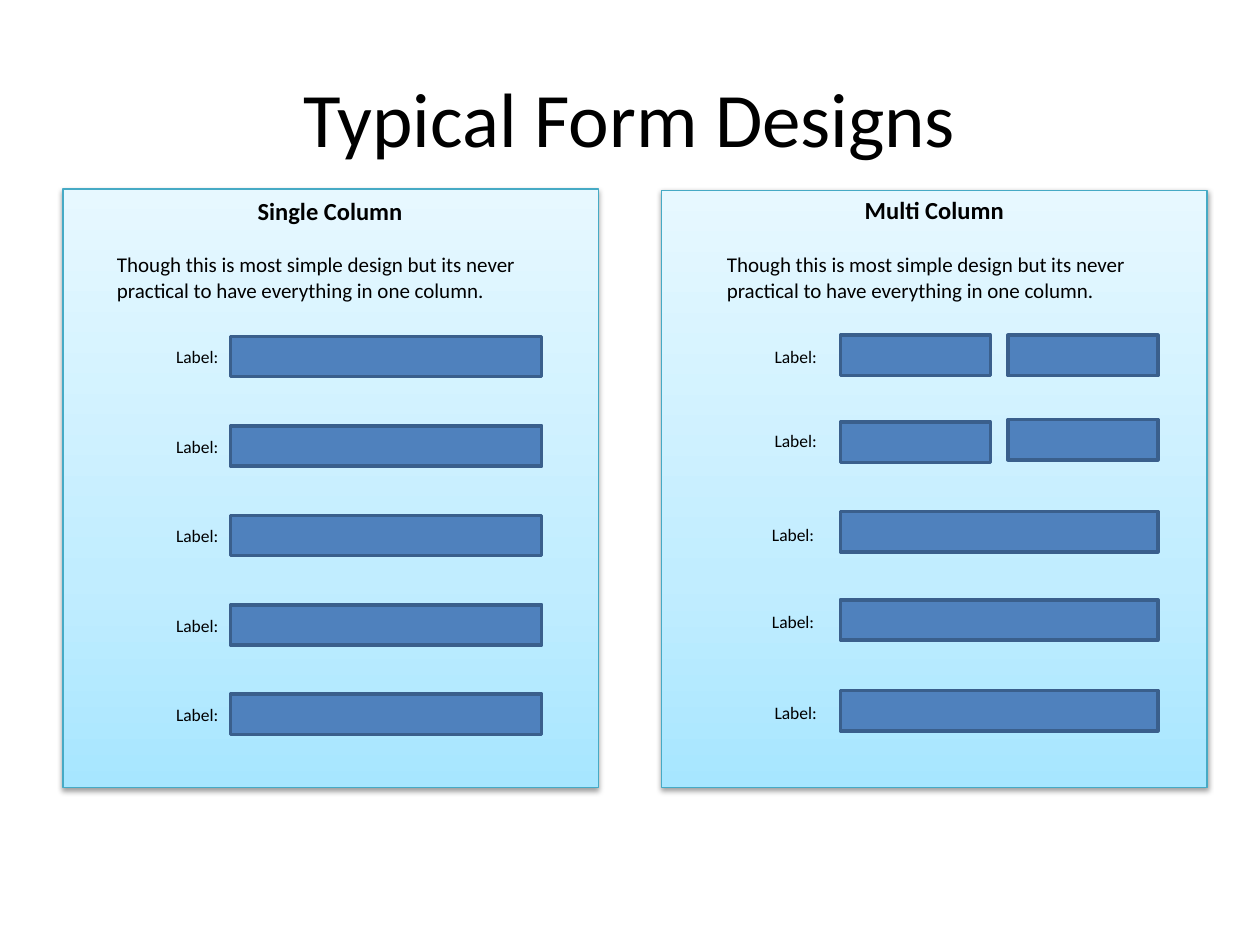
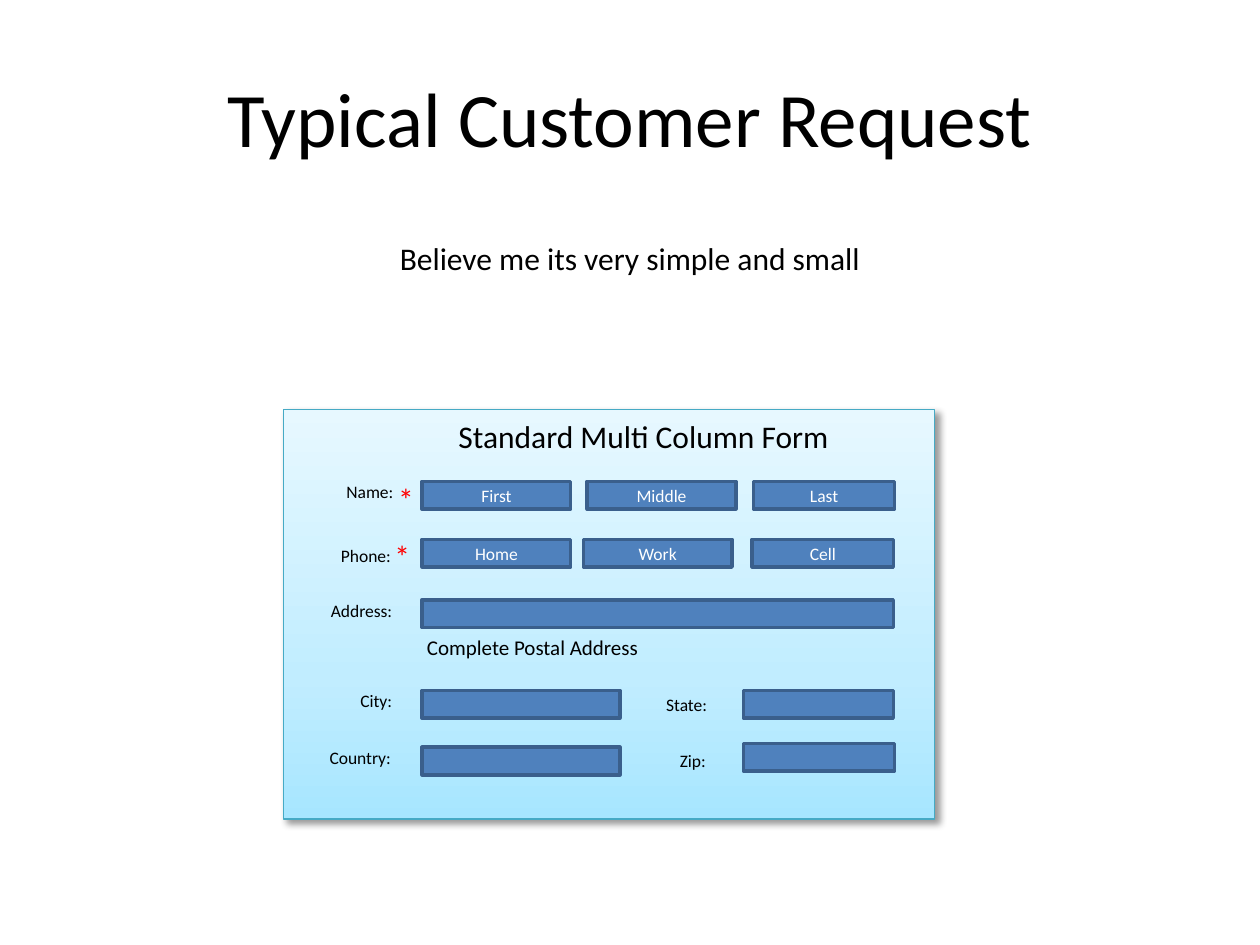
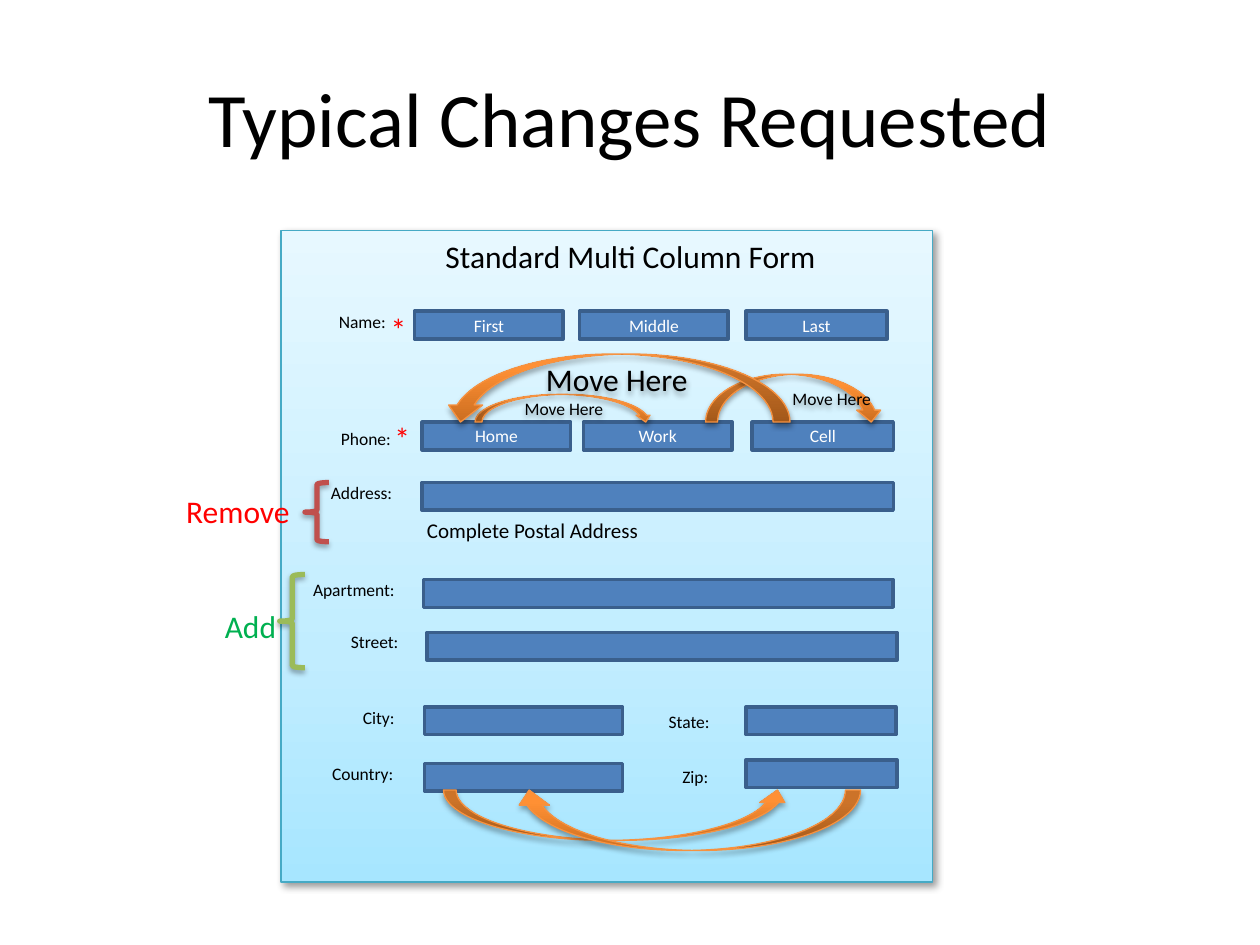
import pptx
import pptx.util
import pptx.dml.color
import pptx.enum.shapes
import pptx.enum.text
import pptx.oxml
import pptx.oxml.ns
from pptx.util import Inches

SHAPE = pptx.enum.shapes.MSO_SHAPE
ALIGN = pptx.enum.text.PP_ALIGN
ANCHOR = pptx.enum.text.MSO_ANCHOR
FIT = pptx.enum.text.MSO_AUTO_SIZE

FONT = "Calibri"
BLACK, WHITE, RED, GREEN = "000000", "FFFFFF", "FF0000", "00B050"
FIELD, EDGE, TEAL, ORANGE = "4F81BD", "3A5F8C", "46AAC5", "F69240"
SKY = [(0, "A7E6FF"), (35, "C1EDFF"), (100, "E7F8FF")]
FLAME = [(0, "CC6E20"), (80, "FF9034"), (100, "FF9136")]
# Shadows: opacity %, blur pt, distance pt, direction in degrees
SOFT = (38, 3.1, 1.6, 90)
DEEP = (40, 4, 3, 45)
LOW = (35, 3.1, 1.8, 90)


def rgb(color):
    return pptx.dml.color.RGBColor.from_string(color)


def node(parent, tag, **attrs):
    child = parent.makeelement(pptx.oxml.ns.qn(tag), {})
    for key, value in attrs.items():
        child.set(key, str(value))
    parent.append(child)
    return child


def blend(shape, stops):
    """Fill a shape with a gradient that runs from bottom to top."""
    shape.fill.gradient()
    shape.fill.gradient_angle = 90
    bag = shape.element.spPr.find(".//" + pptx.oxml.ns.qn("a:gsLst"))
    for stop in list(bag):
        bag.remove(stop)
    for place, color in stops:
        node(node(bag, "a:gs", pos=place * 1000), "a:srgbClr", val=color)


def shade(shape, alpha, blur, dist, angle):
    bag = shape.element.spPr.find(pptx.oxml.ns.qn("a:effectLst"))
    cast = node(bag, "a:outerShdw", blurRad=int(blur * 12700),
                dist=int(dist * 12700), dir=angle * 60000,
                algn="ctr", rotWithShape=0)
    node(node(cast, "a:srgbClr", val=BLACK), "a:alpha", val=alpha * 1000)


class Deck:
    def __init__(self):
        self.show = pptx.Presentation()
        self.show.slide_width = Inches(10)
        self.show.slide_height = Inches(7.5)
        self.slide = None

    def page(self, title):
        self.slide = self.show.slides.add_slide(self.show.slide_layouts[6])
        self.text((0.5, 0.3, 9, 1.25), title, 44, align=ALIGN.CENTER,
                  anchor=ANCHOR.MIDDLE, grow=False)

    def letter(self, frame, text, size, color=BLACK, align=ALIGN.LEFT,
               anchor=ANCHOR.TOP, bold=False):
        """Put one styled line of text into a frame."""
        frame.text = text
        frame.vertical_anchor = anchor
        line = frame.paragraphs[0]
        line.alignment = align
        font = line.runs[0].font
        font.name, font.size, font.bold = FONT, pptx.util.Pt(size), bold
        font.color.rgb = rgb(color)

    def text(self, box, text, size, wrap=True, grow=True, **style):
        frame = self.slide.shapes.add_textbox(*map(Inches, box)).text_frame
        self.letter(frame, text, size, **style)
        frame.word_wrap = wrap
        if grow:
            frame.auto_size = FIT.SHAPE_TO_FIT_TEXT

    def shape(self, kind, box, fill, line, width, shadow=None):
        """Draw a preset shape; fill is a colour, a list of stops or None."""
        shape = self.slide.shapes.add_shape(kind, *map(Inches, box))
        shape.shadow.inherit = False
        if fill is None:
            shape.fill.background()
        elif isinstance(fill, list):
            blend(shape, fill)
        else:
            shape.fill.solid()
            shape.fill.fore_color.rgb = rgb(fill)
        shape.line.color.rgb = rgb(line)
        shape.line.width = pptx.util.Pt(width)
        if shadow:
            shade(shape, *shadow)
        return shape

    def panel(self, box, shadow):
        self.shape(SHAPE.RECTANGLE, box, SKY, TEAL, 0.75, shadow)

    def field(self, x, y, width, text="", height=0.22):
        shape = self.shape(SHAPE.RECTANGLE, (x, y, width, height),
                           FIELD, EDGE, 2)
        if text:
            self.letter(shape.text_frame, text, 10, WHITE, ALIGN.CENTER,
                        ANCHOR.MIDDLE)

    def label(self, right, y, text, width=0.7):
        self.text((right - width, y, width, 0.27), text, 10,
                  align=ALIGN.RIGHT)

    def star(self, x, y):
        self.text((x, y, 0.09, 0.4), "*", 18, color=RED)

    def brace(self, box, color):
        self.shape(SHAPE.LEFT_BRACE, box, None, color, 3, LOW)

    def arrow(self, kind, box, flip=False, size=0, **style):
        shape = self.shape(kind, box, FLAME, ORANGE, 0.75, LOW)
        if flip:
            frame = shape.element.spPr.find(pptx.oxml.ns.qn("a:xfrm"))
            frame.set("flipH", "1")
        if size:
            self.letter(shape.text_frame, "Move Here", size, **style)

    # Groups of form fields, placed by the left top of their first field

    def name(self, x, y):
        self.label(x - 0.13, y - 0.05, "Name:")
        self.star(x - 0.19, y - 0.06)
        for step, width, text in ((0, 1.18, "First"), (1.31, 1.18, "Middle"),
                                  (2.63, 1.12, "Last")):
            self.field(x + step, y, width, text)

    def phone(self, x, y):
        self.label(x - 0.15, y, "Phone:")
        self.star(x - 0.22, y - 0.07)
        for step, width, text in ((0, 1.18, "Home"), (1.28, 1.18, "Work"),
                                  (2.62, 1.12, "Cell")):
            self.field(x + step, y, width, text)

    def address(self, x, y):
        self.label(x - 0.14, y - 0.05, "Address:", 0.79)
        self.field(x, y, 3.74)
        self.text((x - 0.06, y + 0.23, 3.74, 0.3),
                  "Complete Postal Address", 12)

    def region(self, x, y):
        self.label(x - 0.14, y - 0.05, "City:")
        self.label(x - 0.15, y + 0.4, "Country:")
        self.label(x + 2.36, y - 0.02, "State:")
        self.label(x + 2.35, y + 0.42, "Zip:")
        for step, drop, width in ((0, 0, 1.57), (0, 0.45, 1.57),
                                  (2.55, 0, 1.19), (2.55, 0.42, 1.2)):
            self.field(x + step, y + drop, width)


deck = Deck()

deck.page("Typical Form Designs")
BLURB = ("Though this is most simple design but its never "
         "practical to have everything in one column.")
deck.panel((0.5, 1.5, 4.25, 4.75), SOFT)
deck.panel((5.25, 1.51, 4.33, 4.74), SOFT)
deck.text((1.94, 1.51, 1.36, 0.34), "Single Column", 14, wrap=False,
          align=ALIGN.CENTER, bold=True)
deck.text((6.52, 1.5, 1.79, 0.34), "Multi Column", 14,
          align=ALIGN.CENTER, bold=True)
for left in (0.83, 5.67):
    deck.text((left, 1.95, 3.58, 0.5), BLURB, 12)
for row in range(5):
    top = 2.67 + 0.71 * row
    deck.label(1.83, top + 0.03, "Label:", 1.14)
    deck.field(1.83, top, 2.47, height=0.32)
# Right edge and top of each label, then left, top and width of its fields
rows = [(6.58, 2.7, [(6.67, 2.66, 1.19), (8, 2.66, 1.19)]),
        (6.58, 3.36, [(6.67, 3.35, 1.19), (8, 3.33, 1.19)]),
        (6.56, 4.11, [(6.67, 4.06, 2.52)]),
        (6.56, 4.8, [(6.67, 4.76, 2.52)]),
        (6.58, 5.52, [(6.67, 5.48, 2.52)])]
for right, top, fields in rows:
    deck.label(right, top, "Label:", 1.16)
    for field in fields:
        deck.field(*field, height=0.32)

FORM = "Standard Multi Column Form"
deck.page("Typical Customer Request")
deck.text((3.05, 1.85, 3.9, 0.4), "Believe me its very simple and small", 18,
          wrap=False, align=ALIGN.CENTER)
deck.panel((2.25, 3.25, 5.17, 3.25), DEEP)
deck.text((3.54, 3.26, 3.17, 0.4), FORM, 18)
deck.name(3.35, 3.82)
deck.phone(3.35, 4.28)
deck.address(3.35, 4.76)
deck.region(3.35, 5.48)

deck.page("Typical Changes Requested")
deck.panel((2.23, 1.83, 5.17, 5.17), DEEP)
deck.text((3.42, 1.83, 3.17, 0.4), FORM, 18, align=ALIGN.CENTER)
deck.name(3.29, 2.47)
deck.phone(3.35, 3.35)
deck.address(3.35, 3.83)
deck.region(3.37, 5.61)
deck.label(3.23, 4.55, "Apartment:", 0.94)
deck.field(3.36, 4.6, 3.73)
deck.label(3.26, 4.96, "Street:", 0.94)
deck.field(3.39, 5.02, 3.73)

DOWN, UP = SHAPE.CURVED_DOWN_ARROW, SHAPE.CURVED_UP_ARROW
deck.arrow(DOWN, (3.77, 3.13, 1.41, 0.22), size=10, align=ALIGN.CENTER,
           anchor=ANCHOR.MIDDLE)
deck.arrow(DOWN, (5.6, 2.97, 1.41, 0.38), size=10, align=ALIGN.RIGHT,
           anchor=ANCHOR.MIDDLE)
deck.arrow(DOWN, (3.52, 2.81, 2.75, 0.54), flip=True, size=18,
           align=ALIGN.CENTER)
deck.arrow(UP, (3.52, 6.27, 2.75, 0.4))
deck.arrow(UP, (4.08, 6.27, 2.75, 0.48), flip=True)

deck.brace((2.42, 3.83, 0.19, 0.47), "C0504D")
deck.text((1.38, 3.86, 1.03, 0.4), "Remove", 18, wrap=False, color=RED)
deck.brace((2.22, 4.56, 0.2, 0.74), "9BBB59")
deck.text((1.68, 4.77, 0.61, 0.4), "Add", 18, wrap=False, color=GREEN,
          align=ALIGN.RIGHT)

deck.show.save("out.pptx")
